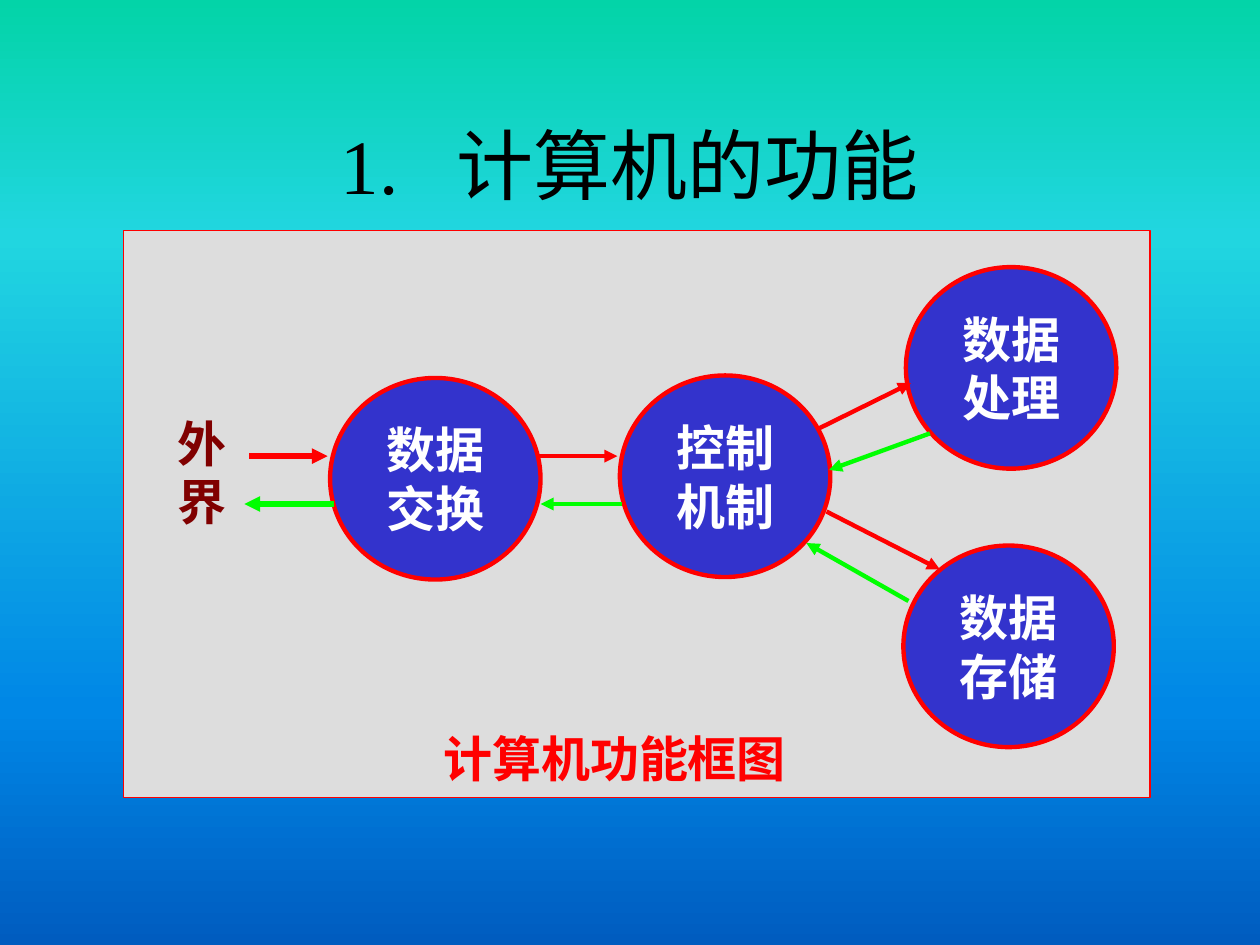
from copy import deepcopy
from dataclasses import dataclass

from lxml import etree
from pptx import Presentation
from pptx.dml.color import RGBColor
from pptx.enum.shapes import MSO_CONNECTOR, MSO_SHAPE
from pptx.enum.text import MSO_ANCHOR, PP_ALIGN
from pptx.oxml.ns import qn
from pptx.util import Inches, Pt

RECT, OVAL = MSO_SHAPE.RECTANGLE, MSO_SHAPE.OVAL
STRAIGHT = MSO_CONNECTOR.STRAIGHT
TOP, MIDDLE = MSO_ANCHOR.TOP, MSO_ANCHOR.MIDDLE
LEFT, CENTER = PP_ALIGN.LEFT, PP_ALIGN.CENTER


@dataclass(frozen=True)
class Theme:
    font: str = "Times New Roman"
    title_size: int = 44
    label_size: int = 28
    black: str = "000000"
    white: str = "FFFFFF"
    red: str = "FF0000"
    green: str = "00FF00"
    maroon: str = "800000"
    node: str = "3333CC"
    panel: str = "DDDDDD"
    background: tuple = ((0, "03D4A8"), (0.25, "21D6E0"),
                         (0.75, "0087E6"), (1, "005CBF"))


THEME = Theme()
NODE_SIZE = (1.67, 1.6)


def rgb(value):
    return RGBColor.from_string(value)


def set_background(s):
    fill = s.background.fill
    fill.gradient()
    fill.gradient_angle = 270
    first = fill.gradient_stops[0]._gs
    stop_list = first.getparent()
    while len(stop_list) < len(THEME.background):
        stop_list.append(deepcopy(first))
    for stop, (position, color) in zip(fill.gradient_stops, THEME.background):
        stop.position = position
        stop.color.rgb = rgb(color)


def add_run(p, text, size, color, bold=False):
    r = p.add_run()
    r.text = text
    r.font.name = THEME.font
    r.font.size = Pt(size)
    r.font.bold = bold
    r.font.color.rgb = rgb(color)
    return r


def start_text(sp, align, anchor):
    tf = sp.text_frame
    tf.word_wrap = True
    tf.vertical_anchor = anchor
    p = tf.paragraphs[0]
    p.alignment = align
    return p


def add_shape(shapes, kind, box, fill, width):
    sp = shapes.add_shape(kind, *map(Inches, box))
    sp.shadow.inherit = False
    sp.fill.solid()
    sp.fill.fore_color.rgb = rgb(fill)
    sp.line.color.rgb = rgb(THEME.red)
    sp.line.width = Pt(width)
    return sp


def add_node(shapes, x, y, text):
    sp = add_shape(shapes, OVAL, (x, y, *NODE_SIZE), THEME.node, 2.5)
    p = start_text(sp, CENTER, MIDDLE)
    add_run(p, text, THEME.label_size, THEME.white, True)


def add_label(shapes, box, text, color):
    sp = shapes.add_textbox(*map(Inches, box))
    p = start_text(sp, LEFT, TOP)
    add_run(p, text, THEME.label_size, color, True)


def add_arrow(shapes, start, end, color, width=2.5):
    sp = shapes.add_connector(STRAIGHT, *map(Inches, (*start, *end)))
    sp.line.color.rgb = rgb(color)
    sp.line.width = Pt(width)
    line = sp.line._get_or_add_ln()
    etree.SubElement(line, qn("a:tailEnd"), type="triangle")
    etree.SubElement(sp._element.spPr, qn("a:effectLst"))


def add_title(s):
    sp = s.shapes.add_textbox(*map(Inches, (0.75, 0.67, 8.5, 1.25)))
    p = start_text(sp, CENTER, MIDDLE)
    add_run(p, "1.", THEME.title_size, THEME.black)
    gap = add_run(p, " ", THEME.title_size, THEME.black)
    gap.font._element.set("spc", "2200")  # widen the gap after the number
    add_run(p, "计算机的功能", THEME.title_size, THEME.black)


def add_diagram(s):
    shapes = s.shapes.add_group_shape().shapes
    add_shape(shapes, RECT, (0.98, 1.83, 8.15, 4.5), THEME.panel, 1)

    # Functional units
    for x, y, text in ((2.62, 3, "数据交换"), (4.92, 2.98, "控制机制"),
                       (7.19, 2.12, "数据处理"), (7.17, 4.33, "数据存储")):
        add_node(shapes, x, y, text)

    # Outward flows in red, return flows in green
    for start, end in (((4.27, 3.62), (4.9, 3.62)),
                       ((6.5, 3.4), (7.23, 3.04)),
                       ((6.56, 4.06), (7.46, 4.52))):
        add_arrow(shapes, start, end, THEME.red)
    for start, end in (((4.94, 4), (4.29, 4)),
                       ((7.38, 3.44), (6.58, 3.73)),
                       ((7.21, 4.77), (6.4, 4.31))):
        add_arrow(shapes, start, end, THEME.green)

    # Exchange with the outside world
    add_arrow(shapes, (1.98, 3.62), (2.6, 3.62), THEME.red, 3)
    add_arrow(shapes, (2.65, 4), (1.94, 4), THEME.green, 3)
    add_label(shapes, (1.31, 3.23, 0.52, 1.03), "外界", THEME.maroon)

    # Caption
    add_label(shapes, (3.42, 5.73, 3.21, 0.57), "计算机功能框图", THEME.red)


def main():
    prs = Presentation()
    prs.slide_width, prs.slide_height = Inches(10), Inches(7.5)
    s = prs.slides.add_slide(prs.slide_layouts[6])
    set_background(s)
    add_title(s)
    add_diagram(s)
    prs.save("out.pptx")


if __name__ == "__main__":
    main()
